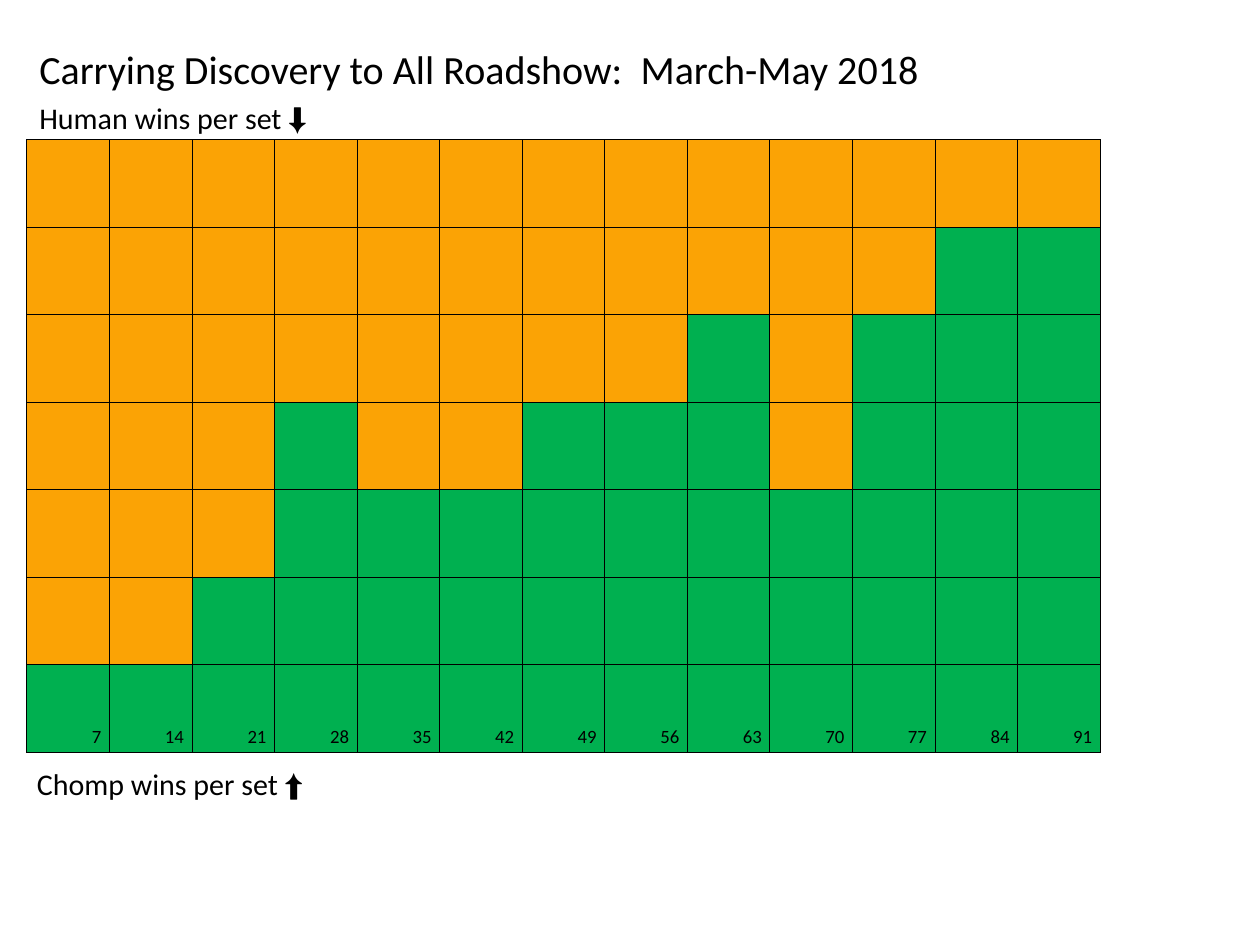
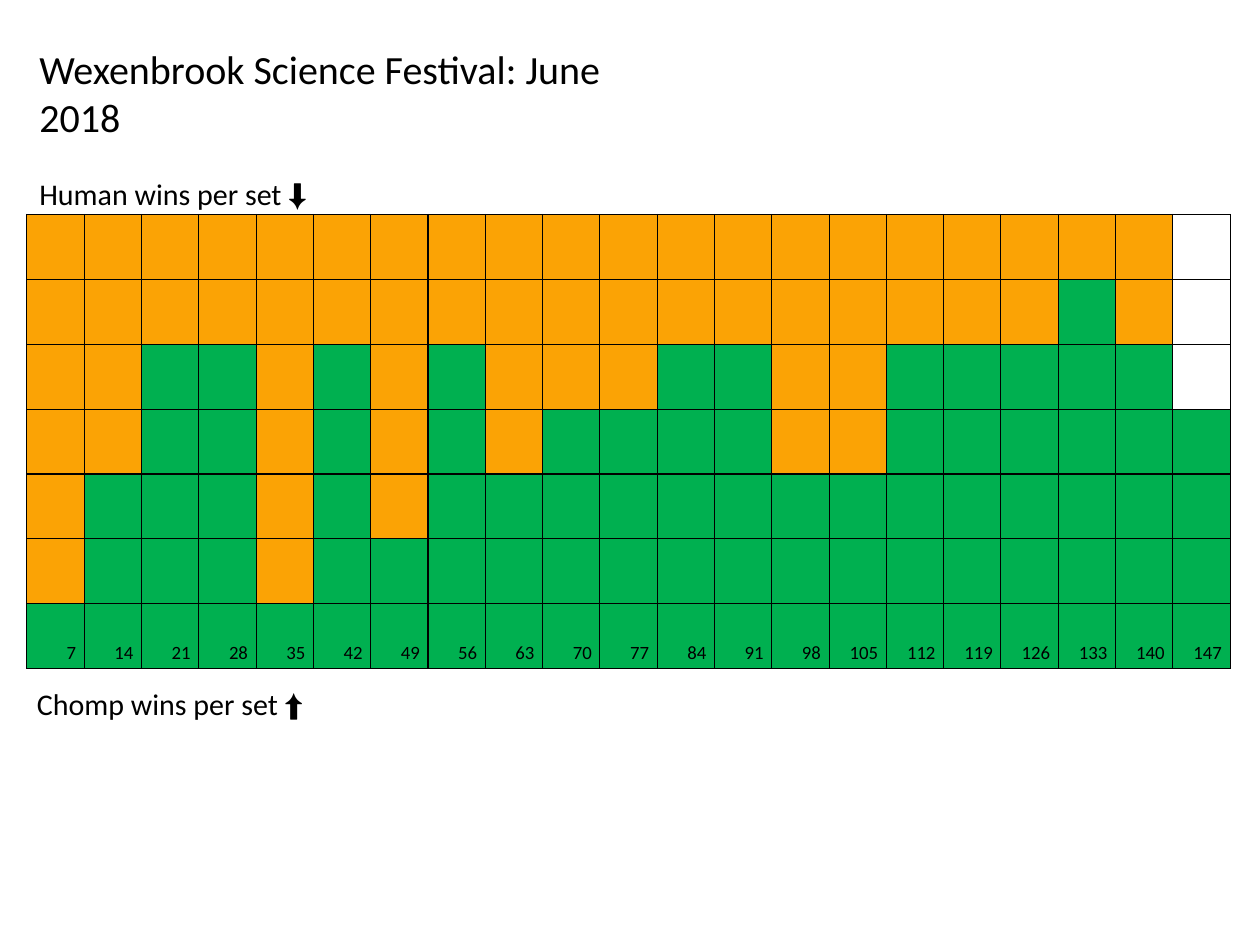
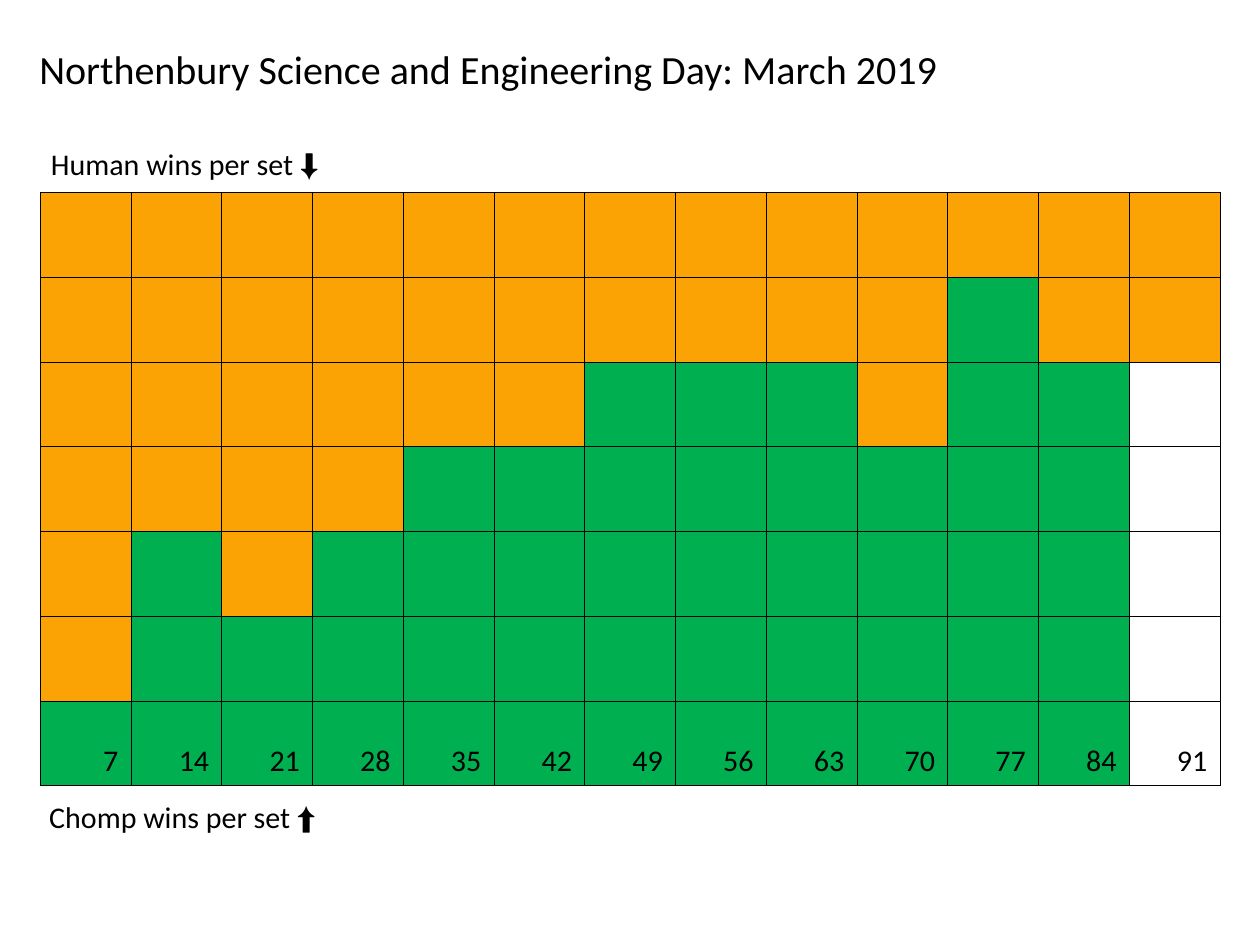
from lxml import etree
from pptx import Presentation
from pptx.dml.color import RGBColor
from pptx.enum.text import MSO_ANCHOR, MSO_AUTO_SIZE, PP_ALIGN
from pptx.oxml.ns import qn
from pptx.util import Cm, Pt

BLACK = RGBColor(0x00, 0x00, 0x00)
WHITE = RGBColor(0xFF, 0xFF, 0xFF)
HUMAN_ORANGE = RGBColor(0xFB, 0xA3, 0x05)
CHOMP_GREEN = RGBColor(0x00, 0xB0, 0x50)
FONT = "Calibri"
RIGHT = PP_ALIGN.RIGHT
BOTTOM = MSO_ANCHOR.BOTTOM
GROW = MSO_AUTO_SIZE.SHAPE_TO_FIT_TEXT

SET_SIZE = 7  # games in a full set
HUMAN_LABEL = "Human wins per set ⬇️"
CHOMP_LABEL = "Chomp wins per set ⬆️"

# Boxes are (left, top, width, height) in cm.
# "chomp" lists Chomp's wins in each set; "last_human" is the human wins in the last set.
EVENTS = [
    {
        "title": "Carrying Discovery to All Roadshow:  March-May 2018",
        "title_width": 26.01,
        "grid": (0.76, 3.94, 30.3, 17.3),
        "human_box": (0.86, 2.69, 12.7, 1.27),
        "chomp_box": (0.79, 21.49, 12.7, 1.27),
        "chomp": [1, 1, 2, 4, 3, 3, 4, 4, 5, 3, 5, 6, 6],
        "last_human": 1,
        "count_size": 15,
        "margins": (0.23, 0.11),
    },
    {
        "title": "Wexenbrook Science Festival: June 2018",
        "title_width": 18.87,
        "grid": (0.76, 6.05, 33.96, 12.83),
        "human_box": (0.86, 4.83, 8.81, 1.27),
        "chomp_box": (0.79, 19.23, 8.81, 1.27),
        "chomp": [1, 3, 5, 5, 1, 5, 2, 5, 3, 4, 4, 5, 5, 3, 3, 5, 5, 5, 6, 5, 4],
        "last_human": 0,
        "count_size": 15,
        "margins": (0.23, 0.11),
    },
    {
        "title": "Northenbury Science and Engineering Day: March 2019",
        "title_width": 26.49,
        "grid": (1.14, 5.44, 33.3, 16.74),
        "human_box": (1.19, 3.99, 8.81, 1.27),
        "chomp_box": (1.14, 22.4, 8.81, 1.27),
        "chomp": [1, 3, 2, 3, 4, 4, 5, 5, 5, 4, 6, 5, 0],
        "last_human": 2,
        "count_size": 24,
        "margins": (0.36, 0.18),
    },
]


def add_run(p, text, size):
    r = p.add_run()
    r.text = text
    r.font.name = FONT
    r.font.size = Pt(size)
    r.font.color.rgb = BLACK


def add_text(slide, box, text, size, wrap=True):
    tf = slide.shapes.add_textbox(*map(Cm, box)).text_frame
    tf.word_wrap = wrap
    tf.auto_size = GROW
    add_run(tf.paragraphs[0], text, size)


def add_borders(cell):
    tc_pr = cell._tc.get_or_add_tcPr()
    for side in ("lnL", "lnR", "lnT", "lnB"):
        ln = etree.SubElement(tc_pr, qn(f"a:{side}"), w=str(Pt(1)))
        fill = etree.SubElement(ln, qn("a:solidFill"))
        etree.SubElement(fill, qn("a:srgbClr"), val=str(BLACK))


def win_color(row, human, chomp):
    """Human wins stack down from the top, Chomp wins up from the bottom."""
    if row < human:
        return HUMAN_ORANGE
    if row >= SET_SIZE - chomp:
        return CHOMP_GREEN
    return WHITE


def add_win_grid(slide, event):
    chomp_wins = event["chomp"]
    human_wins = [SET_SIZE - wins for wins in chomp_wins[:-1]] + [event["last_human"]]
    left, top, width, height = map(Cm, event["grid"])
    table = slide.shapes.add_table(
        SET_SIZE, len(chomp_wins), left, top, width, height).table
    table.first_row = table.horz_banding = False
    margin_x, margin_y = map(Cm, event["margins"])
    for col, (human, chomp) in enumerate(zip(human_wins, chomp_wins)):
        for row in range(SET_SIZE):
            cell = table.cell(row, col)
            add_borders(cell)
            cell.fill.solid()
            cell.fill.fore_color.rgb = win_color(row, human, chomp)
        # the bottom cell carries the running count of games
        cell.vertical_anchor = BOTTOM
        cell.margin_left = cell.margin_right = margin_x
        cell.margin_top = cell.margin_bottom = margin_y
        p = cell.text_frame.paragraphs[0]
        p.alignment = RIGHT
        add_run(p, str(SET_SIZE * (col + 1)), event["count_size"])


def main():
    prs = Presentation()
    prs.slide_width, prs.slide_height = Cm(35.56), Cm(26.67)
    for event in EVENTS:
        slide = prs.slides.add_slide(prs.slide_layouts[6])
        add_win_grid(slide, event)
        add_text(slide, event["human_box"], HUMAN_LABEL, 24)
        add_text(slide, event["chomp_box"], CHOMP_LABEL, 24)
        title_box = (0.86, 1.12, event["title_width"], 1.63)
        add_text(slide, title_box, event["title"], 32, wrap=False)
    prs.save("out.pptx")


if __name__ == "__main__":
    main()
